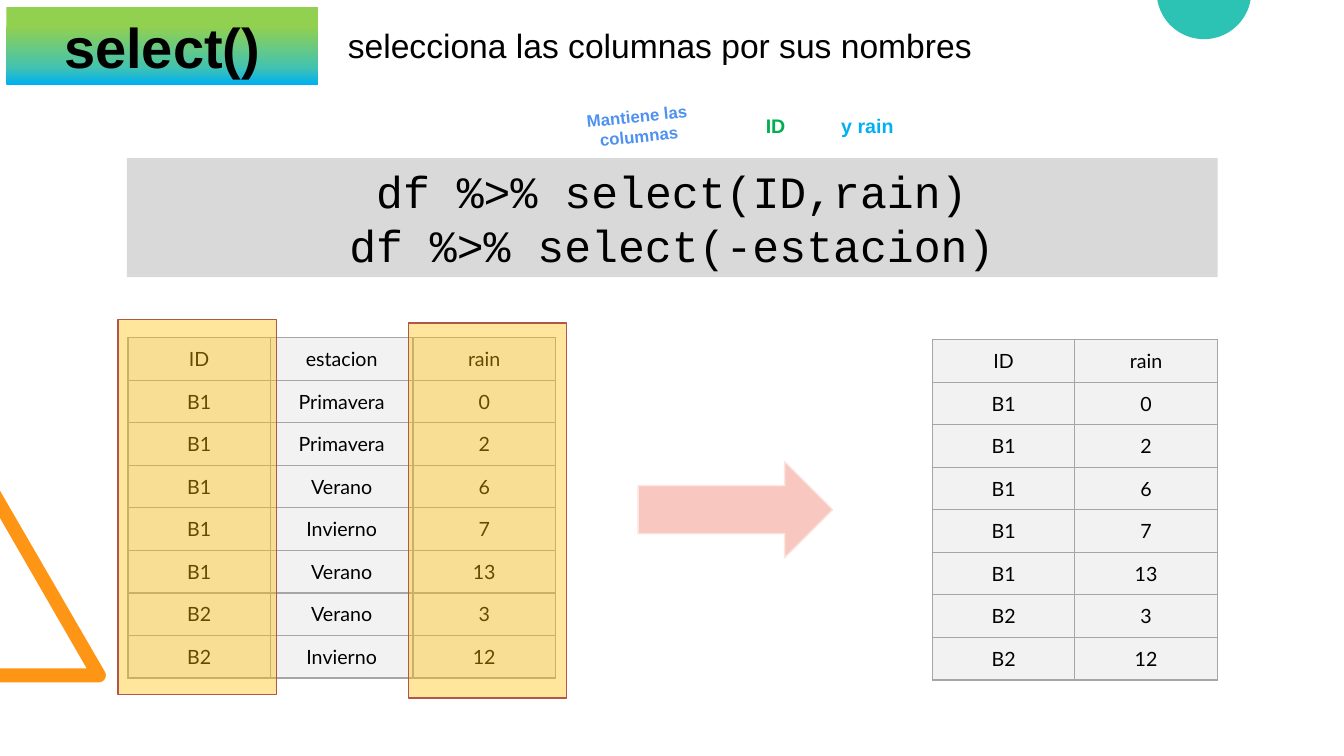
import copy
import math

import pptx
import pptx.dml.color
import pptx.enum.dml
import pptx.enum.shapes
import pptx.enum.text
import pptx.oxml
import pptx.oxml.ns
import pptx.util

Pt = pptx.util.Pt
RGBColor = pptx.dml.color.RGBColor
SHAPE = pptx.enum.shapes.MSO_SHAPE
ALIGN = pptx.enum.text.PP_ALIGN
ANCHOR = pptx.enum.text.MSO_ANCHOR
qn = pptx.oxml.ns.qn

BLACK = RGBColor(0x00, 0x00, 0x00)
ORANGE = RGBColor(0xFF, 0x95, 0x14)
TEAL = RGBColor(0x2C, 0xC3, 0xB4)
LIME = RGBColor(0x92, 0xD0, 0x50)
SEA = RGBColor(0x43, 0xC3, 0xAF)
SKY = RGBColor(0x00, 0xB0, 0xF0)
GREEN = RGBColor(0x00, 0xB0, 0x50)
BLUE = RGBColor(0x4E, 0x91, 0xF0)
CODE_GREY = RGBColor(0xD9, 0xD9, 0xD9)
CELL_GREY = RGBColor(0xF2, 0xF2, 0xF2)
BORDER_GREY = RGBColor(0xA6, 0xA6, 0xA6)
AMBER = RGBColor(0xFF, 0xC0, 0x00)
BRICK = RGBColor(0xB0, 0x57, 0x48)
PINK = RGBColor(0xF8, 0xC8, 0xC0)
PALE_PINK = RGBColor(0xFC, 0xE4, 0xDF)

TITLE_STOPS = [(0, LIME), (0.25, LIME), (0.78, SEA), (1, SKY)]
COLUMN_WIDTH, ROW_HEIGHT = 101.8, 30.4
RECORDS = [
    ("ID", "estacion", "rain"),
    ("B1", "Primavera", "0"),
    ("B1", "Primavera", "2"),
    ("B1", "Verano", "6"),
    ("B1", "Invierno", "7"),
    ("B1", "Verano", "13"),
    ("B2", "Verano", "3"),
    ("B2", "Invierno", "12"),
]


def write(frame, lines, size, font, color=BLACK, bold=False, align=ALIGN.CENTER):
    frame.word_wrap = True
    for index, line in enumerate(lines):
        paragraph = frame.add_paragraph() if index else frame.paragraphs[0]
        paragraph.text = line
        paragraph.alignment = align
        paragraph.font.size = Pt(size)
        paragraph.font.name = font
        paragraph.font.bold = bold
        paragraph.font.color.rgb = color


def add_label(slide, box, text, size, color=BLACK, bold=True, align=ALIGN.CENTER):
    label = slide.shapes.add_textbox(*map(Pt, box))
    write(label.text_frame, [text], size, "Arial", color, bold, align)
    return label


def add_filled(slide, kind, box, color, line=None):
    shape = slide.shapes.add_shape(kind, *map(Pt, box))
    shape.shadow.inherit = False
    shape.fill.solid()
    shape.fill.fore_color.rgb = color
    if line is None:
        shape.line.fill.background()
    else:
        shape.line.color.rgb = line
        shape.line.width = Pt(1)
    return shape


def arc(center_x, center_y, radius, start, end, steps=40):
    angles = [math.radians(start + (end - start) * i / steps) for i in range(steps + 1)]
    return [(center_x + radius * math.cos(a), center_y + radius * math.sin(a)) for a in angles]


def add_outline(slide, points, color):
    # Freeform units are hundredths of a point
    units = [(round(x * 100), round(y * 100)) for x, y in points]
    builder = slide.shapes.build_freeform(*units[0], scale=Pt(1) / 100)
    builder.add_line_segments(units[1:], close=True)
    shape = builder.convert_to_shape()
    shape.shadow.inherit = False
    shape.fill.solid()
    shape.fill.fore_color.rgb = color
    shape.line.fill.background()


def add_decorations(slide):
    # Triangle with a rounded corner, cut by the left edge
    corner = arc(70.6, 482.4, 5, -30, 90)
    inner = [(0, 487.4), (0, 477.4), (61.9, 477.4), (0, 370.1), (0, 350.6)]
    add_outline(slide, corner + inner, ORANGE)
    # Circle cut by the top edge
    radius, rise = 33.8, 5.8
    cut = math.degrees(math.asin(rise / radius))
    add_outline(slide, arc(860, -rise, radius, cut, 180 - cut), TEAL)


def add_header(slide, left, top):
    # Gradient title block
    title = add_filled(slide, SHAPE.RECTANGLE, (left, top, 222.5, 55.4), LIME)
    title.fill.gradient()
    title.fill.gradient_angle = 270
    stop_list = title.fill.gradient_stops[0]._gs.getparent()
    for _ in range(len(TITLE_STOPS) - len(stop_list)):
        stop_list.append(copy.deepcopy(stop_list[0]))
    for stop, (position, color) in zip(title.fill.gradient_stops, TITLE_STOPS):
        stop.position = position
        stop.color.rgb = color
    write(title.text_frame, ["select()"], 40, "Arial", bold=True)
    # Explanation beside it
    add_label(slide, (left + 236.9, top + 9.4, 686.9, 36),
              "selecciona las columnas por sus nombres", 24, bold=False, align=ALIGN.LEFT)


def add_code(slide, left, top):
    block = add_filled(slide, SHAPE.RECTANGLE, (left, top, 779, 85), CODE_GREY)
    write(block.text_frame, ["df %>% select(ID,rain)", "df %>% select(-estacion)"],
          32, "Courier New")
    # Captions above the code
    hint = add_label(slide, (left + 312.5, top - 41, 105, 36), "Mantiene las columnas", 12, BLUE)
    hint.rotation = 354
    add_label(slide, (left + 437, top - 35.2, 52.6, 24.5), "ID", 14, GREEN)
    add_label(slide, (left + 489.6, top - 35.2, 78.5, 24.5), "y rain", 14, SKY)


def style_cell(cell, text):
    properties = cell._tc.get_or_add_tcPr()
    for side in ("lnL", "lnR", "lnT", "lnB"):
        border = properties.makeelement(qn("a:" + side), {"w": str(Pt(1))})
        fill = pptx.oxml.parse_xml(
            '<a:solidFill xmlns:a="http://schemas.openxmlformats.org/drawingml/2006/main">'
            f'<a:srgbClr val="{BORDER_GREY}"/></a:solidFill>')
        border.append(fill)
        properties.append(border)
    cell.fill.solid()
    cell.fill.fore_color.rgb = CELL_GREY
    cell.vertical_anchor = ANCHOR.MIDDLE
    write(cell.text_frame, [text], 14, "Lato")


def add_data_table(slide, left, top, records):
    rows, columns = len(records), len(records[0])
    table = slide.shapes.add_table(rows, columns, Pt(left), Pt(top), Pt(columns * COLUMN_WIDTH),
                                   Pt(rows * ROW_HEIGHT)).table
    table.first_row = table.horz_banding = False
    for column in table.columns:
        column.width = Pt(COLUMN_WIDTH)
    for row, record in zip(table.rows, records):
        row.height = Pt(ROW_HEIGHT)
        for cell, text in zip(row.cells, record):
            style_cell(cell, text)


def add_highlight(slide, left, top):
    highlight = add_filled(slide, SHAPE.RECTANGLE, (left, top, 113.2, 267.8), AMBER, BRICK)
    color = highlight.fill._xPr.find(qn("a:solidFill"))[0]
    color.append(color.makeelement(qn("a:alpha"), {"val": "39000"}))


def add_example(slide, left, top):
    # Full table, with the kept columns highlighted
    add_data_table(slide, left, top, RECORDS)
    add_highlight(slide, left - 7.2, top - 13)
    add_filled(slide, SHAPE.RIGHT_ARROW, (left + 364.4, top + 88.6, 139, 68.6), PINK, PALE_PINK)
    add_highlight(slide, left + 200.2, top - 10.5)
    # Result without the middle column
    kept = [(identifier, rain) for identifier, _, rain in RECORDS]
    add_data_table(slide, left + 574.6, top + 1.4, kept)


def main():
    presentation = pptx.Presentation()
    presentation.slide_width, presentation.slide_height = Pt(960), Pt(540)
    slide = presentation.slides.add_slide(presentation.slide_layouts[6])
    add_decorations(slide)
    add_header(slide, 4.5, 5)
    add_code(slide, 90.7, 113)
    add_example(slide, 91.4, 241.2)
    presentation.save("out.pptx")


if __name__ == "__main__":
    main()
